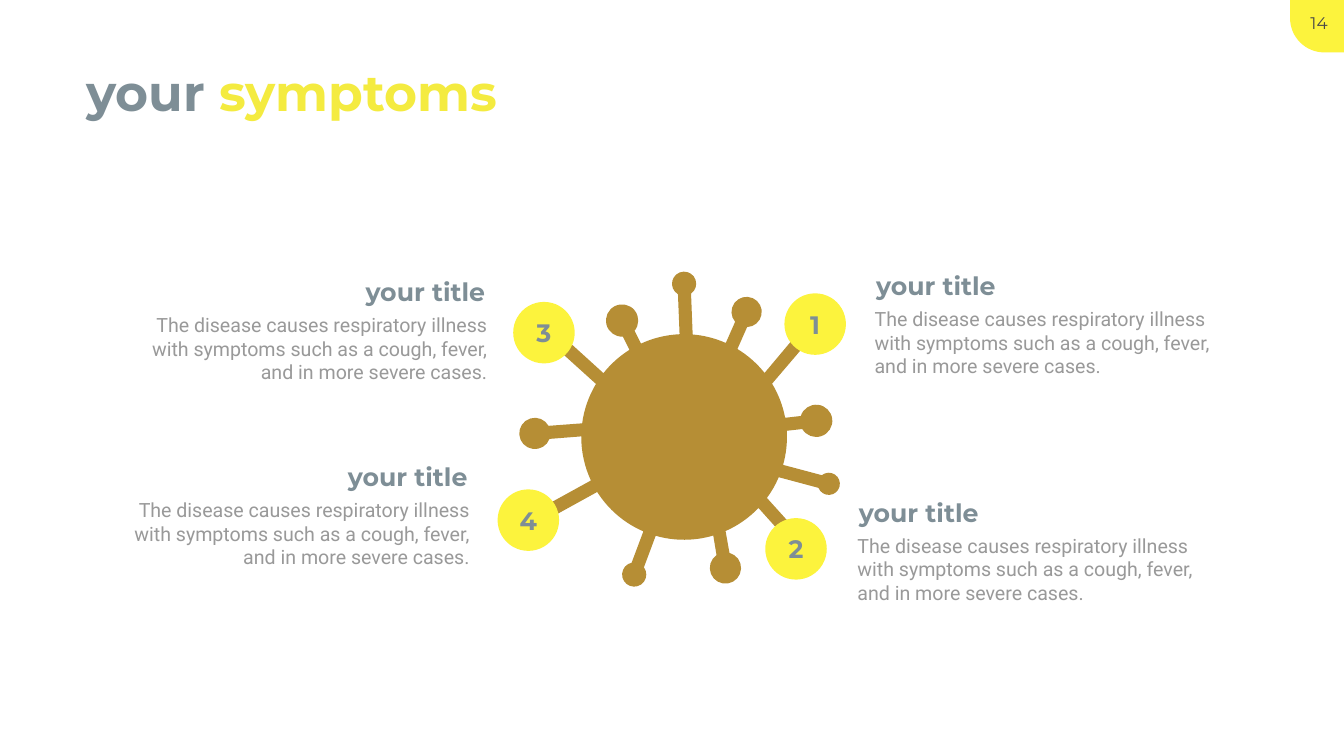
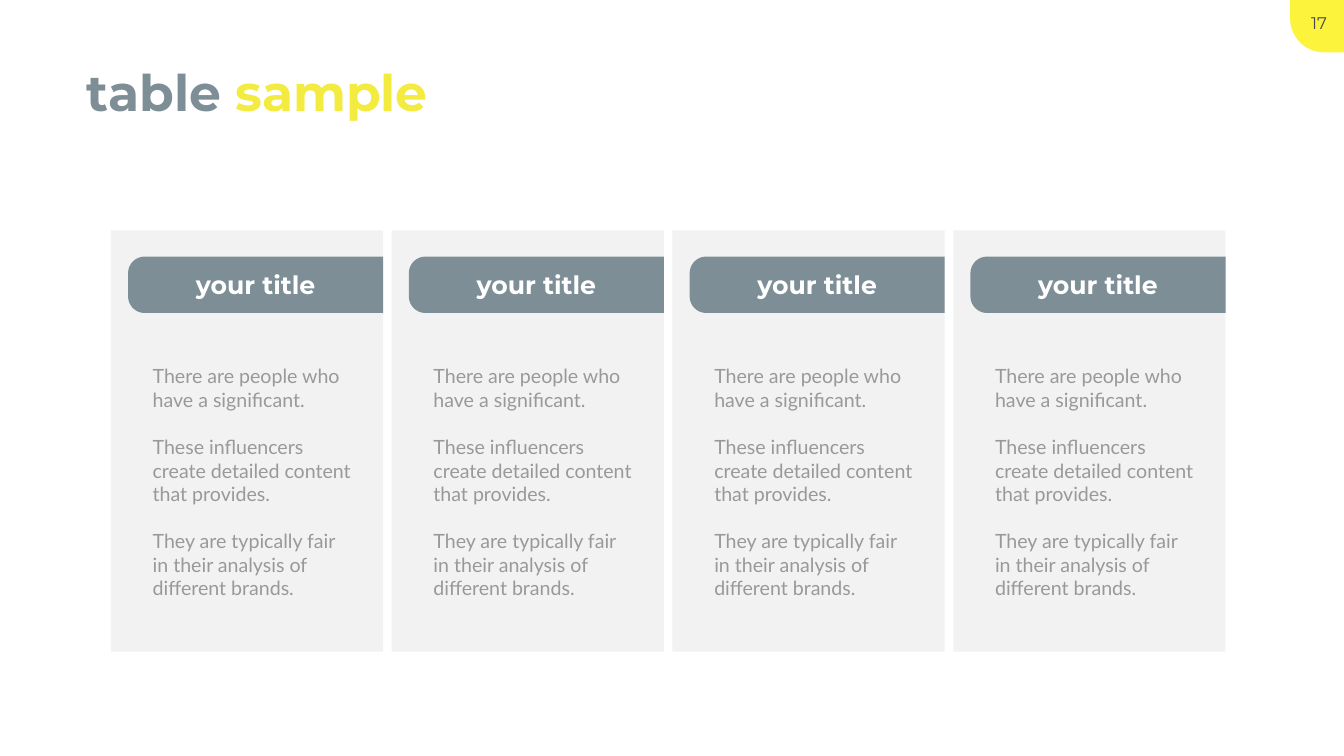
import math

import pptx
import pptx.dml.color
import pptx.enum.shapes
import pptx.enum.text
import pptx.oxml.ns
import pptx.util

Inches = pptx.util.Inches
Pt = pptx.util.Pt
RGB = pptx.dml.color.RGBColor
ALIGN = pptx.enum.text.PP_ALIGN
ANCHOR = pptx.enum.text.MSO_ANCHOR
SHAPE = pptx.enum.shapes.MSO_SHAPE

# Shared style
YELLOW = RGB(0xFC, 0xF3, 0x3D)
ACCENT = RGB(0xF4, 0xEB, 0x40)
SLATE = RGB(0x7E, 0x8E, 0x96)
BROWN = RGB(0xB6, 0x8E, 0x35)
GREY = RGB(0x99, 0x99, 0x99)
PALE = RGB(0xF2, 0xF2, 0xF2)
DARK = RGB(0x49, 0x49, 0x49)
WHITE = RGB(0xFF, 0xFF, 0xFF)
HEAD = "Montserrat"
LABEL = "your title"

# Virus: body circle, then (knob x, knob y, knob radius, root x, root y)
CORE = (13.57, 8.67)
RADIUS = 2.04
STEM = 0.13  # half the stem width
SPIKES = [
    (13.57, 5.63, 0.24, 13.61, 6.63),
    (14.81, 6.19, 0.30, 14.52, 6.85),
    (15.99, 6.62, 0.21, 15.25, 7.50),
    (16.19, 8.35, 0.32, 15.58, 8.42),
    (16.44, 9.60, 0.22, 15.50, 9.35),
    (15.74, 10.66, 0.22, 15.13, 9.98),
    (14.39, 11.27, 0.31, 14.27, 10.58),
    (12.58, 11.40, 0.24, 12.88, 10.60),
    (10.80, 10.19, 0.21, 11.78, 9.65),
    (10.61, 8.60, 0.31, 11.55, 8.53),
    (11.09, 6.78, 0.22, 11.88, 7.50),
    (12.34, 6.36, 0.32, 12.60, 6.88),
]

# Symptoms: badge left and top, heading's inner edge and top, alignment
SYMPTOM = ("The disease causes respiratory illness with symptoms such as "
           "a cough, fever, and in more severe cases.")
SIGNS = [
    (15.56, 5.82, 17.28, 5.31, ALIGN.LEFT),
    (15.18, 10.28, 16.94, 9.81, ALIGN.LEFT),
    (10.18, 5.99, 9.72, 5.43, ALIGN.RIGHT),
    (9.87, 9.71, 9.37, 9.10, ALIGN.RIGHT),
]

# Columns
NOTES = [
    "There are people who have a significant.",
    "These influencers create detailed content that provides.",
    "They are typically fair in their analysis of different brands.",
]
LEFT, STEP, WIDE = 2.2, 5.57, 5.4


def write(frame, lines, size, font, colour, bold=False,
          align=ALIGN.LEFT, gap=0):
    """Fill a text frame, one paragraph for each line."""
    for i, line in enumerate(lines):
        para = frame.paragraphs[0] if i == 0 else frame.add_paragraph()
        para.text = line
        para.alignment = align
        para.space_before = Pt(gap if i else 0)
        para.font.size = Pt(size)
        para.font.name = font
        para.font.bold = bold
        para.font.color.rgb = colour


def add_text(slide, x, y, w, h, lines, *style, **more):
    frame = slide.shapes.add_textbox(
        Inches(x), Inches(y), Inches(w), Inches(h)).text_frame
    frame.word_wrap = True
    write(frame, lines, *style, **more)


def paint(shape, colour):
    shape.shadow.inherit = False
    shape.fill.solid()
    shape.fill.fore_color.rgb = colour
    shape.line.fill.background()
    return shape


def add_shape(slide, kind, x, y, w, h, colour):
    return paint(slide.shapes.add_shape(
        kind, Inches(x), Inches(y), Inches(w), Inches(h)), colour)


def add_outline(slide, parts, colour):
    """Draw parts of one point (a line) or three points (a curve)."""
    dots = [(Inches(x), Inches(y)) for part in parts for x, y in part]
    pen = slide.shapes.build_freeform(*dots[0])
    pen.add_line_segments(dots[1:])
    shape = pen.convert_to_shape()
    qn = pptx.oxml.ns.qn
    lines = iter(list(shape._element.iter(qn("a:lnTo"))))
    for part in parts[1:]:
        first, *rest = [next(lines) for _ in part]
        if rest:
            first.tag = qn("a:cubicBezTo")
        for line in rest:
            first.append(line[0])
            line.getparent().remove(line)
    return paint(shape, colour)


def arc(x, y, r, start, end, count=1):
    """A line to a circle, then curves along it; angles grow clockwise."""
    def spot(turn, pull=0):
        return (x + r * (math.cos(turn) - pull * math.sin(turn)),
                y + r * (math.sin(turn) + pull * math.cos(turn)))

    step = (end - start) / count
    pull = 4 / 3 * math.tan(step / 4)
    parts = [[spot(start)]]
    for i in range(count):
        turn = start + i * step
        parts.append([spot(turn, pull), spot(turn + step, -pull),
                      spot(turn + step)])
    return parts


def add_label(shape, label, colour):
    frame = shape.text_frame
    frame.vertical_anchor = ANCHOR.MIDDLE
    write(frame, [label], 36, HEAD, colour, True, ALIGN.CENTER)


def add_slide(deck, first, second, width, page):
    """Start a slide with its two-colour title and page tab."""
    slide = deck.slides.add_slide(deck.slide_layouts[5])
    title = slide.shapes.title
    title.left, title.top = Inches(1.61), Inches(1.17)
    title.width, title.height = Inches(width), Inches(1.31)
    frame = title.text_frame
    frame.word_wrap = False
    frame.auto_size = pptx.enum.text.MSO_AUTO_SIZE.SHAPE_TO_FIT_TEXT
    frame.vertical_anchor = ANCHOR.TOP
    write(frame, [first + " "], 72, HEAD, SLATE, True)
    run = frame.paragraphs[0].add_run()
    run.text = second
    run.font.color.rgb = ACCENT

    corner = arc(26.27, 0.36, 0.68, math.pi / 2, math.pi)
    add_outline(slide, [[(25.59, 0)], [(26.66, 0)], [(26.66, 1.04)]]
                + corner, YELLOW)
    add_text(slide, 25.65, 0.21, 1.03, 0.61, [str(page)], 24, HEAD, DARK,
             align=ALIGN.CENTER)
    return slide


def add_virus(slide):
    """Walk clockwise round the body, out and back along each spike."""
    half = STEM / RADIUS
    roots = sorted((math.atan2(s[4] - CORE[1], s[3] - CORE[0]), s)
                   for s in SPIKES)
    parts = []
    for i, (turn, (x, y, r, root_x, root_y)) in enumerate(roots):
        back = math.atan2(root_y - y, root_x - x)
        neck = math.asin(STEM / r)
        parts += arc(x, y, r, back + neck, back + 2 * math.pi - neck, 4)
        after = (roots[i + 1][0] if i + 1 < len(roots)
                 else roots[0][0] + 2 * math.pi)
        parts += arc(*CORE, RADIUS, turn + half, after - half)
    add_outline(slide, parts, BROWN)


def add_sign(slide, number, x, y, edge, top, align):
    badge = add_shape(slide, SHAPE.OVAL, x, y, 1.22, 1.22, YELLOW)
    add_label(badge, str(number), SLATE)
    right = align == ALIGN.RIGHT
    head_x = edge - 5.35 if right else edge
    body_x = edge + 0.04 - 7.38 if right else edge - 0.03
    add_text(slide, head_x, top, 5.35, 0.71, [LABEL], 36, HEAD, SLATE,
             True, align)
    add_text(slide, body_x, top + 0.73, 7.38, 1.51, [SYMPTOM], 28, "Roboto",
             GREY, align=align)


def add_column(slide, x):
    add_shape(slide, SHAPE.RECTANGLE, x, 4.57, WIDE, 8.36, PALE)
    add_text(slide, x + 0.73, 7.18, 4.14, 4.81, NOTES, 28, "Lato", GREY,
             gap=33.6)
    # Header band, rounded on its left side
    end, top, low, r = x + WIDE, 5.09, 6.21, 0.33
    mid = x + 0.34 + r
    band = ([[(end, top)], [(end, low)]]
            + arc(mid, low - r, r, math.pi / 2, math.pi)
            + arc(mid, top + r, r, math.pi, 1.5 * math.pi))
    add_label(add_outline(slide, band, SLATE), LABEL, WHITE)


def main():
    deck = pptx.Presentation()
    deck.slide_width, deck.slide_height = Inches(26.66), Inches(15)

    # Symptoms
    slide = add_slide(deck, "your", "symptoms", 8.47, 14)
    add_virus(slide)
    for number, sign in enumerate(SIGNS, 1):
        add_sign(slide, number, *sign)

    # Columns
    slide = add_slide(deck, "table", "sample", 7.04, 17)
    for i in range(4):
        add_column(slide, LEFT + i * STEP)

    deck.save("out.pptx")


if __name__ == "__main__":
    main()
